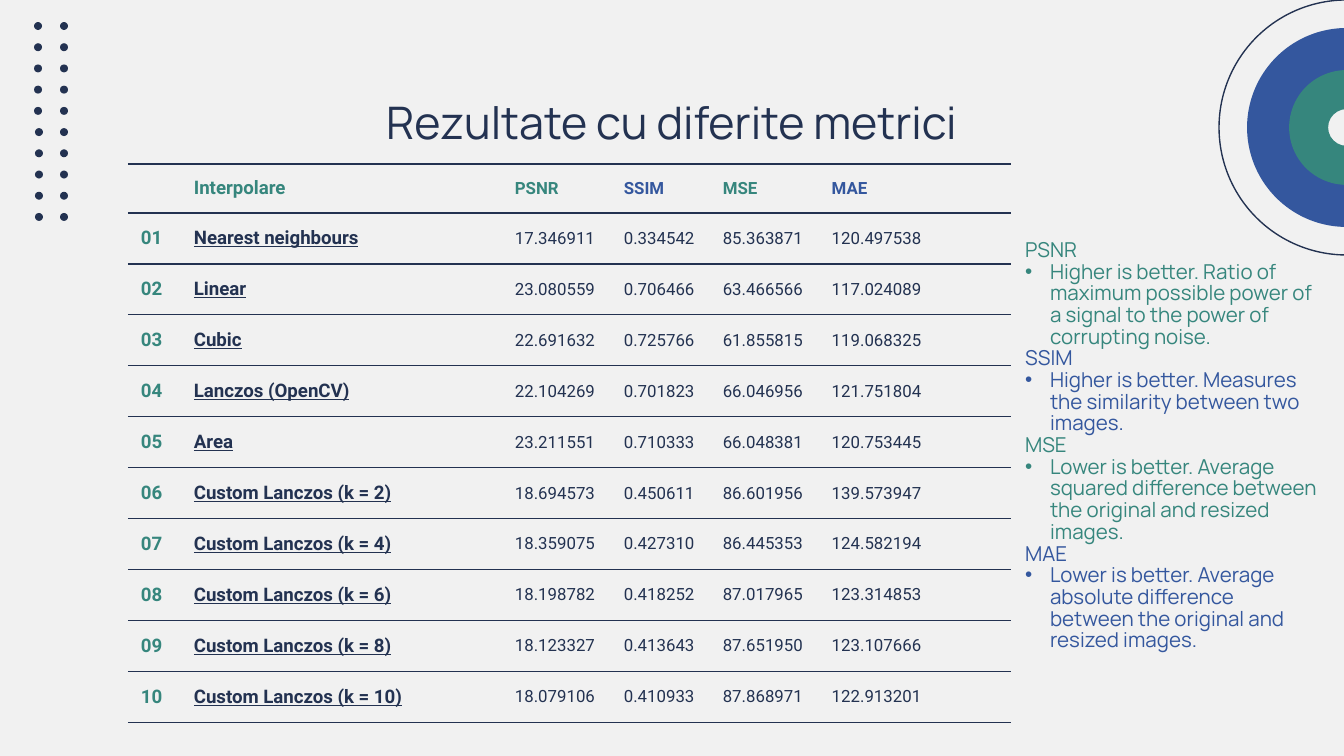
import dataclasses

import lxml.etree
import pptx
import pptx.dml.color
import pptx.enum.shapes
import pptx.enum.text
import pptx.oxml.ns
import pptx.util

PX = 9144000 / 1344
MARGIN = 13
NO_STYLE = "{2D5ABB26-0587-4C30-8999-92F81FD0307C}"
qn = pptx.oxml.ns.qn
SHAPE = pptx.enum.shapes.MSO_SHAPE
ANCHOR = pptx.enum.text.MSO_ANCHOR


@dataclasses.dataclass(frozen=True)
class Theme:
    background: str = "F1F1F1"
    navy: str = "233251"
    blue: str = "34579E"
    green: str = "36867D"
    heading_font: str = "Manrope"
    table_font: str = "Roboto"
    title_size: float = 24
    legend_size: float = 11
    name_size: float = 10
    value_size: float = 9
    line: float = 0.75


THEME = Theme()

METRICS = [
    ("PSNR", THEME.green, "Higher is better. Ratio of maximum possible power of a signal "
                          "to the power of corrupting noise."),
    ("SSIM", THEME.blue, "Higher is better. Measures the similarity between two images."),
    ("MSE", THEME.green, "Lower is better. Average squared difference between the original "
                         "and resized images."),
    ("MAE", THEME.blue, "Lower is better. Average absolute difference between the original "
                        "and resized images."),
]

RESULTS = [
    ("Nearest neighbours", "17.346911", "0.334542", "85.363871", "120.497538"),
    ("Linear", "23.080559", "0.706466", "63.466566", "117.024089"),
    ("Cubic", "22.691632", "0.725766", "61.855815", "119.068325"),
    ("Lanczos (OpenCV)", "22.104269", "0.701823", "66.046956", "121.751804"),
    ("Area", "23.211551", "0.710333", "66.048381", "120.753445"),
    ("Custom Lanczos (k = 2)", "18.694573", "0.450611", "86.601956", "139.573947"),
    ("Custom Lanczos (k = 4)", "18.359075", "0.427310", "86.445353", "124.582194"),
    ("Custom Lanczos (k = 6)", "18.198782", "0.418252", "87.017965", "123.314853"),
    ("Custom Lanczos (k = 8)", "18.123327", "0.413643", "87.651950", "123.107666"),
    ("Custom Lanczos (k = 10)", "18.079106", "0.410933", "87.868971", "122.913201"),
]


def px(n):
    return pptx.util.Emu(round(n * PX))


def rgb(color):
    return pptx.dml.color.RGBColor.from_string(color)


def style(r, font, size, color, bold=False, underline=False):
    r.font.name = font
    r.font.size = pptx.util.Pt(size)
    r.font.color.rgb = rgb(color)
    r.font.bold = bold
    r.font.underline = underline


def place(sp, x, y, w, h):
    sp.left, sp.top, sp.width, sp.height = px(x), px(y), px(w), px(h)


def set_frame(tf, anchor):
    tf.word_wrap = True
    tf.auto_size = pptx.enum.text.MSO_AUTO_SIZE.NONE
    tf.vertical_anchor = anchor
    tf.margin_left = tf.margin_right = tf.margin_top = tf.margin_bottom = px(MARGIN)


def add_round(slide, kind, cx, cy, d, fill=None, line=None):
    """Add a round shape of diameter d centred on (cx, cy)."""
    sp = slide.shapes.add_shape(kind, px(cx - d / 2), px(cy - d / 2), px(d), px(d))
    sp.shadow.inherit = False
    if fill:
        sp.fill.solid()
        sp.fill.fore_color.rgb = rgb(fill)
    else:
        sp.fill.background()
    if line:
        sp.line.color.rgb = rgb(line)
        sp.line.width = pptx.util.Pt(THEME.line)
    else:
        sp.line.fill.background()
    return sp


def add_target(slide, x, y, d):
    """Add the concentric rings that run off the right edge."""
    cx, cy = x + d / 2, y + d / 2
    for share, color in ((0.78, THEME.blue), (0.45, THEME.green)):
        sp = add_round(slide, SHAPE.DONUT, cx, cy, d * share, fill=color)
        sp.adjustments[0] = 0.34
    add_round(slide, SHAPE.OVAL, cx, cy, d, line=THEME.navy)


def add_dots(slide, x, y, w, h, rows=10, d=8):
    for i in range(rows):
        cy = y + d / 2 + i * (h - d) / (rows - 1)
        nudge = 1 if i >= rows / 2 else 0
        for cx in (x + d / 2 + nudge, x + w - d / 2):
            add_round(slide, SHAPE.OVAL, cx, cy, d, fill=THEME.navy)


def add_title(slide, x, y, w, h):
    sp = slide.shapes.title
    place(sp, x, y, w, h)
    tf = sp.text_frame
    set_frame(tf, ANCHOR.MIDDLE)
    tf.text = "Rezultate cu diferite metrici"
    p = tf.paragraphs[0]
    p.alignment = pptx.enum.text.PP_ALIGN.CENTER
    style(p.runs[0], THEME.heading_font, THEME.title_size, THEME.navy)


def add_borders(cell):
    """Rule the cell above and below only."""
    tc_pr = cell._tc.get_or_add_tcPr()
    for side in ("a:lnT", "a:lnB"):
        ln = lxml.etree.SubElement(tc_pr, qn(side), w=str(pptx.util.Pt(THEME.line)))
        fill = lxml.etree.SubElement(ln, qn("a:solidFill"))
        lxml.etree.SubElement(fill, qn("a:srgbClr"), val=THEME.navy)


def fill_cell(cell, text, size, color, bold=False, underline=False):
    add_borders(cell)
    cell.fill.background()
    cell.vertical_anchor = ANCHOR.MIDDLE
    cell.margin_left = cell.margin_right = cell.margin_top = cell.margin_bottom = px(MARGIN)
    p = cell.text_frame.paragraphs[0]
    if text:
        p.text = text
        style(p.runs[0], THEME.table_font, size, color, bold, underline)
    else:
        lxml.etree.SubElement(p._p, qn("a:endParaRPr"), sz=str(size * 100))


def add_results(slide, x, y, col_widths, header_height, row_height):
    height = header_height + row_height * len(RESULTS)
    frame = slide.shapes.add_table(len(RESULTS) + 1, len(col_widths),
                                   px(x), px(y), px(sum(col_widths)), px(height))
    table = frame.table
    table.first_row = table.horz_banding = False
    table._tbl.tblPr.find(qn("a:tableStyleId")).text = NO_STYLE
    for col, width in zip(table.columns, col_widths):
        col.width = px(width)
    for i, row in enumerate(table.rows):
        row.height = px(row_height if i else header_height)

    name, value = THEME.name_size, THEME.value_size
    blanks = [("", value, THEME.navy)] * 2
    rows = [[("", value, THEME.navy), ("Interpolare", name, THEME.green, True)]
            + [(metric, value, color, True) for metric, color, _ in METRICS] + blanks]
    for i, (method, *values) in enumerate(RESULTS, 1):
        rows.append([(f"{i:02}", name, THEME.green, True),
                     (method, name, THEME.navy, True, True)]
                    + [(v, value, THEME.navy) for v in values] + blanks)
    for i, row in enumerate(rows):
        for j, content in enumerate(row):
            fill_cell(table.cell(i, j), *content)


def set_bullet(p, color, indent):
    """Give the paragraph a hanging bullet, or none when indent is 0."""
    p_pr = p._p.get_or_add_pPr()
    p_pr.set("marL", str(px(indent)))
    p_pr.set("indent", str(-px(indent)))
    if indent:
        bu_clr = lxml.etree.SubElement(p_pr, qn("a:buClr"))
        lxml.etree.SubElement(bu_clr, qn("a:srgbClr"), val=color)
        lxml.etree.SubElement(p_pr, qn("a:buChar"), char="•")
    else:
        lxml.etree.SubElement(p_pr, qn("a:buNone"))


def add_legend(slide, x, y, w, h):
    sp = slide.placeholders[1]
    place(sp, x, y, w, h)
    tf = sp.text_frame
    set_frame(tf, ANCHOR.TOP)
    lines = [(text, color, indent) for metric, color, meaning in METRICS
             for text, indent in ((metric, 0), (meaning, 25))]
    for i, (text, color, indent) in enumerate(lines):
        p = tf.add_paragraph() if i else tf.paragraphs[0]
        p.text = text
        set_bullet(p, color, indent)
        p.space_before = pptx.util.Pt(0)
        p.line_spacing = 0.88
        style(p.runs[0], THEME.heading_font, THEME.legend_size, color)


def main():
    prs = pptx.Presentation()
    prs.slide_width, prs.slide_height = px(1344), px(756)
    slide = prs.slides.add_slide(prs.slide_layouts[1])
    slide.background.fill.solid()
    slide.background.fill.fore_color.rgb = rgb(THEME.background)
    add_target(slide, 1219, 0, 255)
    add_dots(slide, 34, 22, 34, 199)
    add_title(slide, 128, 79, 1087, 85)
    add_results(slide, 128, 164, (53, 321, 109, 99, 109, 128, 32, 32), 49, 51)
    add_legend(slide, 1012, 227, 322, 499)
    prs.save("out.pptx")


if __name__ == "__main__":
    main()
